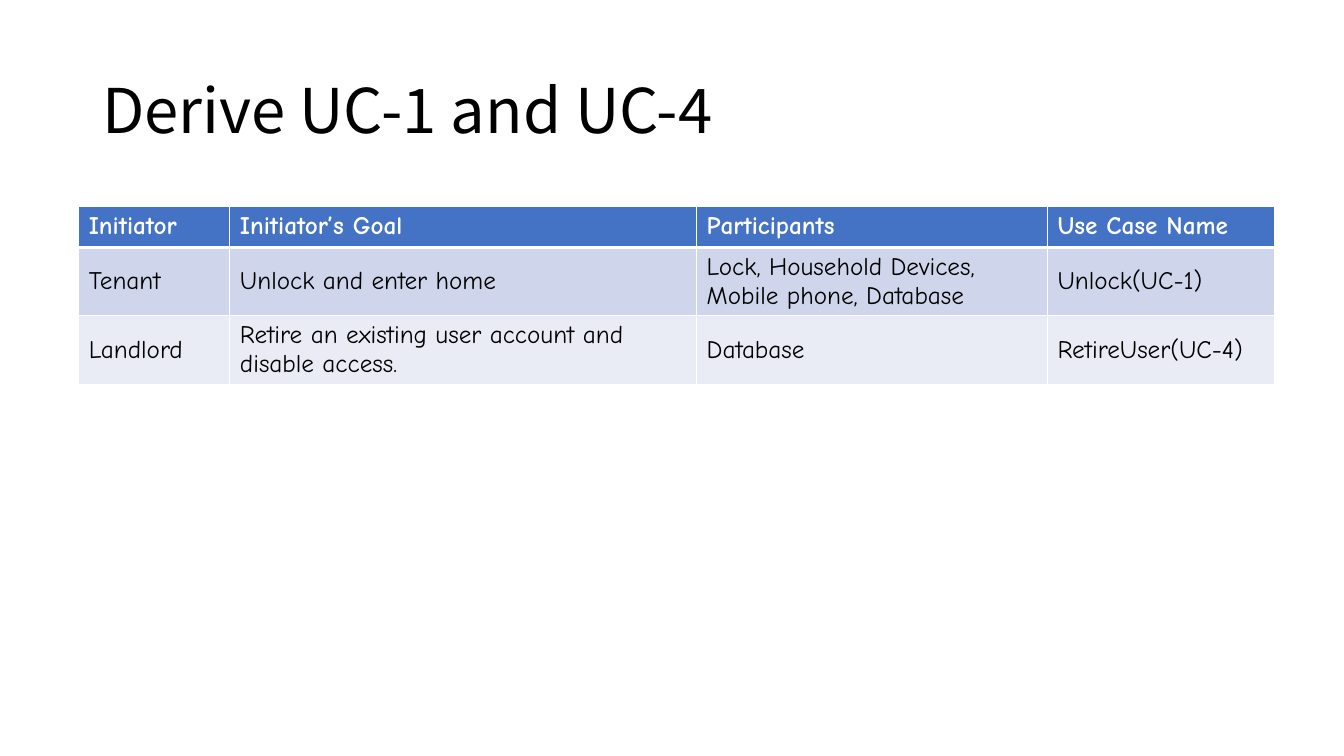
from lxml import etree
from pptx import Presentation
from pptx import util as u
from pptx.dml.color import RGBColor
from pptx.enum import text
from pptx.oxml import ns

# Content
TITLE = "Derive UC-1 and UC-4"
ROWS = [
    ("Initiator", "Initiator\u2019s Goal", "Participants", "Use Case Name"),
    ("Tenant", "Unlock and enter home",
     "Lock, Household Devices, Mobile phone, Database", "Unlock(UC-1)"),
    ("Landlord", "Retire an existing user account and disable access.",
     "Database", "RetireUser(UC-4)"),
]
WIDTHS = (108, 333.4, 250.6, 162)
HIGH = 29.2
LEFT, TOP = 56.2, 147.6
COLORS = {"white": "FFFFFF", "black": "000000", "head": "4472C4",
          "odd": "CFD5EA", "even": "E9EBF5"}
FILLS = ("head", "odd", "even")
MIDDLE = text.MSO_ANCHOR.MIDDLE


def style(para, color, **form):
    font = para.runs[0].font
    for key, val in form.items():
        setattr(font, key, val)
    font.color.rgb = RGBColor.from_string(COLORS[color])


def border(cell, side, width):
    line = etree.SubElement(cell._tc.get_or_add_tcPr(), ns.qn("a:ln" + side),
                            w=str(u.Pt(width)))
    fill = etree.SubElement(line, ns.qn("a:solidFill"))
    etree.SubElement(fill, ns.qn("a:srgbClr"), val=COLORS["white"])


deck = Presentation()
deck.slide_width, deck.slide_height = u.Pt(960), u.Pt(540)
slide = deck.slides.add_slide(deck.slide_layouts[5])

# Title
title = slide.shapes.title
box = {"left": 66, "top": 28.8, "width": 828, "height": 104.4}
for key, val in box.items():
    setattr(title, key, u.Pt(val))
frame = title.text_frame
frame.text = TITLE
frame.word_wrap = True
frame.vertical_anchor = MIDDLE
para = frame.paragraphs[0]
para.alignment = text.PP_ALIGN.LEFT
para.line_spacing = 0.9
style(para, "black", name="Noto Sans CJK SC", size=u.Pt(44))

# Use case table
table = slide.shapes.add_table(
    len(ROWS), len(WIDTHS), u.Pt(LEFT), u.Pt(TOP),
    u.Pt(sum(WIDTHS)), u.Pt(HIGH * len(ROWS))).table
for col, width in zip(table.columns, WIDTHS):
    col.width = u.Pt(width)
for r, row in enumerate(ROWS):
    table.rows[r].height = u.Pt(HIGH)
    head = r == 0
    for c, word in enumerate(row):
        cell = table.cell(r, c)
        cell.text = word
        if not head:
            cell.vertical_anchor = MIDDLE
        style(cell.text_frame.paragraphs[0], "white" if head else "black",
              name="Comic Neue", size=u.Pt(18), bold=head)
        # Borders come before the fill; a thick rule divides head and body
        for side in "LRTB":
            thick = (r, side) in ((0, "B"), (1, "T"))
            border(cell, side, 3 if thick else 1)
        cell.fill.solid()
        cell.fill.fore_color.rgb = RGBColor.from_string(COLORS[FILLS[r]])

deck.save("out.pptx")
